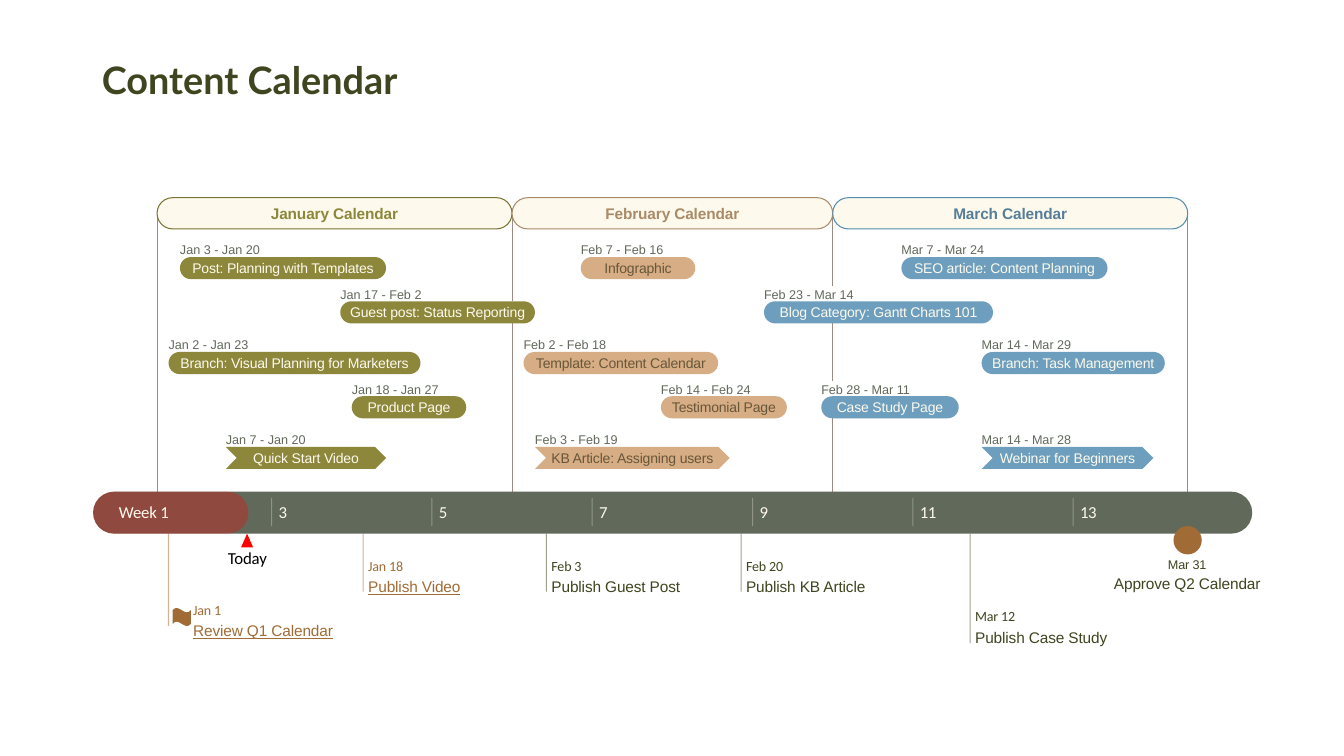
from lxml import etree
from pptx import Presentation
from pptx.dml.color import RGBColor
from pptx.enum.shapes import MSO_CONNECTOR, MSO_SHAPE
from pptx.enum.text import MSO_ANCHOR, MSO_AUTO_SIZE, PP_ALIGN
from pptx.oxml.ns import qn
from pptx.util import Pt

LEFT, CENTER = PP_ALIGN.LEFT, PP_ALIGN.CENTER
MIDDLE, BOTTOM = MSO_ANCHOR.MIDDLE, MSO_ANCHOR.BOTTOM
ROUND, CHEVRON = MSO_SHAPE.ROUNDED_RECTANGLE, MSO_SHAPE.CHEVRON
TRIANGLE, WAVE, OVAL = MSO_SHAPE.ISOSCELES_TRIANGLE, MSO_SHAPE.WAVE, MSO_SHAPE.OVAL
STRAIGHT = MSO_CONNECTOR.STRAIGHT

COLORS = {
    "cream": "FDFAED", "dark": "3E451F", "brown": "A16B35", "band": "61695B",
    "elapsed": "FF0000", "today": "FF0000", "black": "000000",
    "divider": "998C84", "tick": "FDFAED", "drop dark": "3E451F", "drop brown": "A16B35",
    "olive": "8D873C", "tan": "D6AD84", "blue": "6D9EBD", "tan ink": "68563A",
    "olive edge": "797433", "tan edge": "AA8A67", "blue edge": "538DB1", "blue head": "577E98",
}
OPACITY = {"elapsed": 30, "tick": 30, "drop dark": 50, "drop brown": 50}  # percent

# Time scale: one day is a fixed width, counted from 1 January
START, DAY = 112.2, 8.18
DAYS_BEFORE = {"Jan": 0, "Feb": 31, "Mar": 59}
BAND_TOP, BAND_HEIGHT = 351.2, 30
BAND_BOTTOM = BAND_TOP + BAND_HEIGHT
MONTH_TOP, MONTH_HEIGHT = 141.2, 22.3
BAR_HEIGHT, DATE_HEIGHT = 15.8, 10.1

deck = Presentation()
deck.slide_width, deck.slide_height = Pt(960), Pt(540)
page = deck.slides.add_slide(deck.slide_layouts[5])


def add_rule(x, top, bottom, color):
    rule = page.shapes.add_connector(STRAIGHT, Pt(x), Pt(top), Pt(x), Pt(bottom))
    rule.line.width = Pt(0.75)
    rule.line.color.rgb = RGBColor.from_string(COLORS[color])
    if color in OPACITY:
        hue = next(rule._element.iter(qn("a:srgbClr")))
        etree.SubElement(hue, qn("a:alpha"), val=str(OPACITY[color] * 1000))
    etree.SubElement(rule._element.spPr, qn("a:effectLst"))


def write(box, text, size, color, font="Arial", align=LEFT, bold=False,
          underline=False, tracking=-10):
    frame = box.text_frame
    frame.margin_left = frame.margin_right = frame.margin_top = frame.margin_bottom = 0
    frame.word_wrap = False
    frame.auto_size = MSO_AUTO_SIZE.NONE
    frame.vertical_anchor = MIDDLE
    para = frame.paragraphs[0]
    para.alignment = align
    span = para.add_run()
    span.text = text
    span.font.name, span.font.size = font, Pt(size)
    span.font.bold, span.font.underline = bold, underline
    span.font.color.rgb = RGBColor.from_string(COLORS[color])
    span._r.get_or_add_rPr().set("spc", str(tracking))


# Title
title = page.shapes.title
title.left, title.top, title.width, title.height = Pt(65.5), Pt(20.9), Pt(386.6), Pt(55.4)
write(title, "Content Calendar", 27, "dark", "Lato", bold=True, tracking=0)
title.text_frame.vertical_anchor = BOTTOM
title.text_frame.margin_left = Pt(7.2)
title.text_frame.margin_bottom = Pt(3.6)

# Month dividers, interrupted where a date or bar sits on them
dividers = {
    0: [(152, BAND_TOP)],
    31: [(152, 215.3), (229, BAND_TOP)],
    59: [(152, 204.5), (229, 272.2), (298.8, BAND_TOP)],
    90: [(152, BAND_TOP)],
}
for day, pieces in dividers.items():
    for top, bottom in pieces:
        add_rule(START + day * DAY, top, bottom, "divider")

# Milestones: date, name, colour, line end, top of date, text offset, underline
milestones = [
    ("Jan 1", "Review Q1 Calendar", "brown", 447.1, 429.8, 17.6, True),
    ("Jan 18", "Publish Video", "brown", 422.6, 398.2, 3.6, True),
    ("Feb 3", "Publish Guest Post", "dark", 422.6, 398.2, 3.6, False),
    ("Feb 20", "Publish KB Article", "dark", 422.6, 398.2, 3.6, False),
    ("Mar 12", "Publish Case Study", "dark", 459.4, 434.2, 3.6, False),
]
for date, name, color, bottom, top, offset, underline in milestones:
    month, day = date.split()
    x = START + (DAYS_BEFORE[month] + int(day)) * DAY
    add_rule(x, BAND_BOTTOM, bottom, f"drop {color}")
    box = page.shapes.add_textbox(Pt(x + offset), Pt(top), Pt(36), Pt(12.2))
    write(box, date, 10, color, "Calibri")
    box = page.shapes.add_textbox(Pt(x + offset), Pt(top + 14.2), Pt(102), Pt(13))
    write(box, name, 11, color, underline=underline)

# Blocks: kind, left, top, width, height, fill, outline, text, size, ink
blocks = [
    (ROUND, 66.5, BAND_TOP, 828, BAND_HEIGHT, "band", None, "", 0, ""),
    (ROUND, 66.5, BAND_TOP, 111, BAND_HEIGHT, "elapsed", None, "", 0, ""),
    (TRIANGLE, 172.2, BAND_BOTTOM, 8.6, 9.8, "today", None, "", 0, ""),
    (WAVE, 123.3, 434.2, 13, 13, "brown", None, "", 0, ""),
    (OVAL, 838.2, 375.8, 20.2, 20.2, "brown", None, "", 0, ""),
]

# Month headers
for name, first, end, edge, ink in [
    ("January", 0, 31, "olive edge", "olive"),
    ("February", 31, 59, "tan edge", "tan edge"),
    ("March", 59, 90, "blue edge", "blue head"),
]:
    blocks.append((ROUND, START + first * DAY, MONTH_TOP, (end - first) * DAY, MONTH_HEIGHT,
                   "cream", edge, f"{name} Calendar", 11, ink))

# Content bars, grouped by row top
rows = {
    183.6: [("Jan 3 - Jan 20", "Post: Planning with Templates", "olive"),
            ("Feb 7 - Feb 16", "Infographic", "tan"),
            ("Mar 7 - Mar 24", "SEO article: Content Planning", "blue")],
    215.2: [("Jan 17 - Feb 2", "Guest post: Status Reporting", "olive"),
            ("Feb 23 - Mar 14", "Blog Category: Gantt Charts 101", "blue")],
    251.4: [("Jan 2 - Jan 23", "Branch: Visual Planning for Marketers", "olive"),
            ("Feb 2 - Feb 18", "Template: Content Calendar", "tan"),
            ("Mar 14 - Mar 29", "Branch: Task Management", "blue")],
    283: [("Jan 18 - Jan 27", "Product Page", "olive"),
          ("Feb 14 - Feb 24", "Testimonial Page", "tan"),
          ("Feb 28 - Mar 11", "Case Study Page", "blue")],
    319.2: [("Jan 7 - Jan 20", "Quick Start Video", "olive"),
            ("Feb 3 - Feb 19", "KB Article: Assigning users", "tan"),
            ("Mar 14 - Mar 28", "Webinar for Beginners", "blue")],
}
for top, items in rows.items():
    for dates, name, fill in items:
        first, last = [DAYS_BEFORE[month] + int(day)
                       for month, day in (date.split() for date in dates.split(" - "))]
        x = START + (first - 1) * DAY
        kind = CHEVRON if top == max(rows) else ROUND
        ink = "tan ink" if fill == "tan" else "cream"
        blocks.append((kind, x, top, (last - first + 1) * DAY, BAR_HEIGHT,
                       fill, None, name, 10, ink))
        box = page.shapes.add_textbox(Pt(x), Pt(top - DATE_HEIGHT), Pt(65), Pt(DATE_HEIGHT))
        write(box, dates, 9, "band", tracking=0)

for kind, left, top, width, height, fill, outline, text, size, ink in blocks:
    block = page.shapes.add_shape(kind, Pt(left), Pt(top), Pt(width), Pt(height))
    block.shadow.inherit = False
    if kind == ROUND:
        block.adjustments[0] = 0.5
    block.fill.solid()
    block.fill.fore_color.rgb = RGBColor.from_string(COLORS[fill])
    if fill in OPACITY:
        hue = next(block._element.iter(qn("a:srgbClr")))
        etree.SubElement(hue, qn("a:alpha"), val=str(OPACITY[fill] * 1000))
    if outline:
        block.line.width = Pt(0.75)
        block.line.color.rgb = RGBColor.from_string(COLORS[outline])
    else:
        block.line.fill.background()
    if text:
        write(block, text, size, ink, align=CENTER, bold=outline is not None)

# Week scale: a tick and number every second week
box = page.shapes.add_textbox(Pt(84.9), Pt(358.6), Pt(36.7), Pt(14.4))
write(box, "Week 1", 12, "cream", "Calibri")
for week in range(3, 14, 2):
    x = START + (10 + (week - 3) * 7) * DAY
    add_rule(x, 355.7, 375.8, "tick")
    box = page.shapes.add_textbox(Pt(x + 5), Pt(358.6), Pt(12.2), Pt(14.4))
    write(box, str(week), 12, "cream", "Calibri", tracking=-30)

# Today marker and final milestone
for text, left, top, width, height, size, color, font in [
    ("Today", 162.3, 391, 28.8, 14.4, 12, "black", "Calibri"),
    ("Mar 31", 833.6, 398.2, 28.8, 10.1, 9, "dark", "Arial"),
    ("Approve Q2 Calendar", 794.4, 410.4, 107.3, 13, 11, "dark", "Arial"),
]:
    box = page.shapes.add_textbox(Pt(left), Pt(top), Pt(width), Pt(height))
    write(box, text, size, color, font, CENTER)

deck.save("out.pptx")
